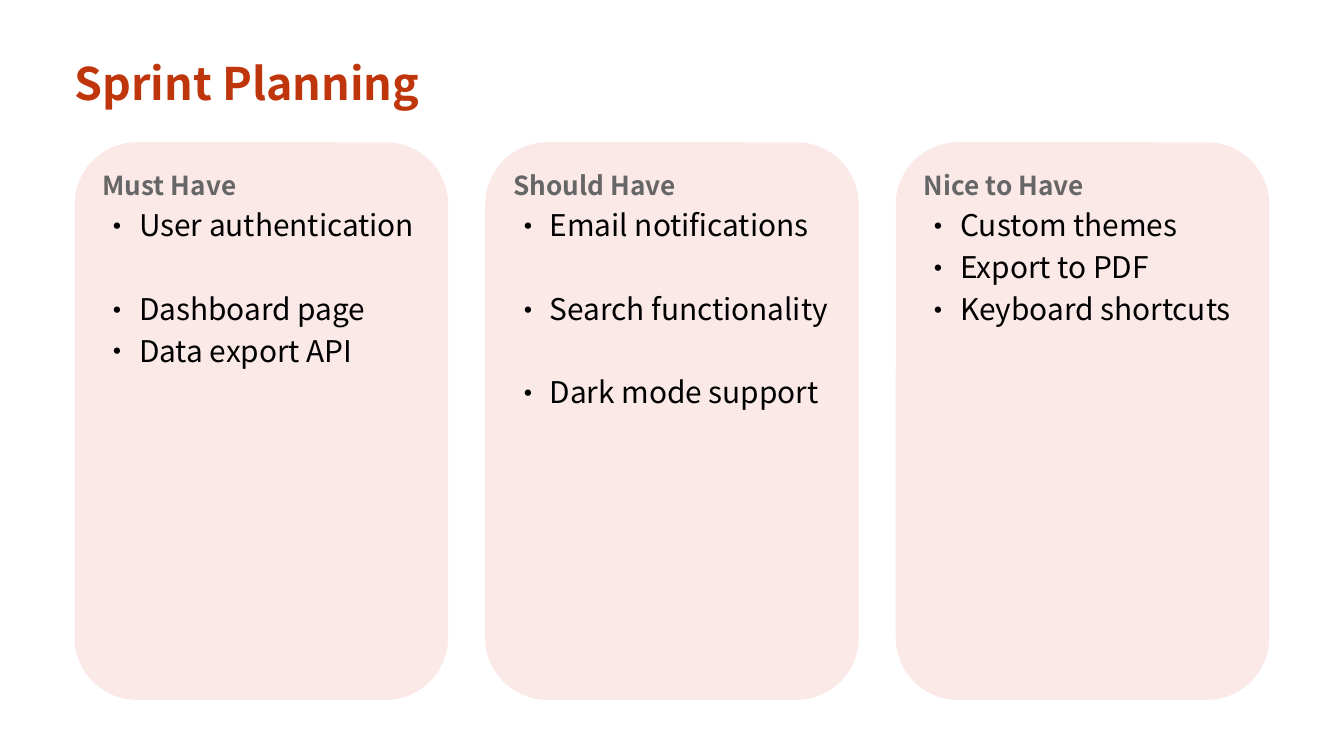
from lxml.etree import SubElement
from pptx import Presentation
from pptx.dml.color import RGBColor
from pptx.enum.shapes import MSO_SHAPE as Shape
from pptx.oxml.ns import qn
from pptx.util import Cm, Pt

TITLE = "Sprint Planning"
# Each item is followed by the number of text lines its slot holds.
COLUMNS = [
    ("Must Have", [("User authentication", 2), ("Dashboard page", 1),
                   ("Data export API", 1)]),
    ("Should Have", [("Email notifications", 2), ("Search functionality", 2),
                     ("Dark mode support", 2)]),
    ("Nice to Have", [("Custom themes", 1), ("Export to PDF", 1),
                      ("Keyboard shortcuts", 2)]),
]

FONT = "Noto Sans CJK SC"
COLORS = {"page": "FFFFFF", "title": "BF360C", "card": "FBE9E7",
          "heading": "666666", "item": "000000"}

# Lengths in centimetres
PAGE_WIDTH, PAGE_HEIGHT = 25.4, 14.29
MARGIN = 1.41
GAP = 0.7
CARD_TOP, CARD_HEIGHT = 2.69, 10.54
PADDING = 0.53
HEADING_TOP, HEADING_HEIGHT = 3.2, 0.74
ITEM_TOP, LINE_HEIGHT = 3.91, 0.79
BULLET_INDENT = 0.69

CONTENT_WIDTH = PAGE_WIDTH - 2 * MARGIN
CARD_WIDTH = (CONTENT_WIDTH - GAP * (len(COLUMNS) - 1)) / len(COLUMNS)


def color(name):
    return RGBColor.from_string(COLORS[name])


def add_bullet(para):
    props = para._p.get_or_add_pPr()
    props.set("marL", str(Cm(BULLET_INDENT)))
    props.set("indent", str(-Cm(BULLET_INDENT)))
    SubElement(props, qn("a:buFont"), typeface=FONT)
    SubElement(props, qn("a:buChar"), char="•")


def add_text(shapes, text, *, left, top, width, height, size, ink,
             bold=False, bullet=False):
    box = shapes.add_textbox(Cm(left), Cm(top), Cm(width), Cm(height))
    frame = box.text_frame
    frame.word_wrap = True
    frame.margin_left = frame.margin_right = 0
    frame.margin_top = frame.margin_bottom = 0
    para = frame.paragraphs[0]
    if bullet:
        add_bullet(para)
    span = para.add_run()
    span.text = text
    span.font.name = FONT
    span.font.size = Pt(size)
    span.font.bold = bold
    span.font.color.rgb = color(ink)


def add_column(page, left, heading, items):
    shapes = page.shapes.add_group_shape().shapes
    card = shapes.add_shape(Shape.ROUNDED_RECTANGLE, Cm(left), Cm(CARD_TOP),
                            Cm(CARD_WIDTH), Cm(CARD_HEIGHT))
    card.shadow.inherit = False
    card.fill.solid()
    card.fill.fore_color.rgb = color("card")
    card.line.fill.background()

    inner = {"left": left + PADDING, "width": CARD_WIDTH - 2 * PADDING}
    add_text(shapes, heading, top=HEADING_TOP, height=HEADING_HEIGHT,
             size=14, ink="heading", bold=True, **inner)
    top = ITEM_TOP
    for text, lines in items:
        height = lines * LINE_HEIGHT
        add_text(shapes, text, top=top, height=height, size=16, ink="item",
                 bullet=True, **inner)
        top += height


def main():
    deck = Presentation()
    deck.slide_width, deck.slide_height = Cm(PAGE_WIDTH), Cm(PAGE_HEIGHT)
    page = deck.slides.add_slide(deck.slide_layouts[6])
    page.background.fill.solid()
    page.background.fill.fore_color.rgb = color("page")

    add_text(page.shapes, TITLE, left=MARGIN, top=1.06, width=CONTENT_WIDTH,
             height=1.2, size=24, ink="title", bold=True)
    for index, (heading, items) in enumerate(COLUMNS):
        add_column(page, MARGIN + index * (CARD_WIDTH + GAP), heading, items)
    deck.save("out.pptx")


if __name__ == "__main__":
    main()
